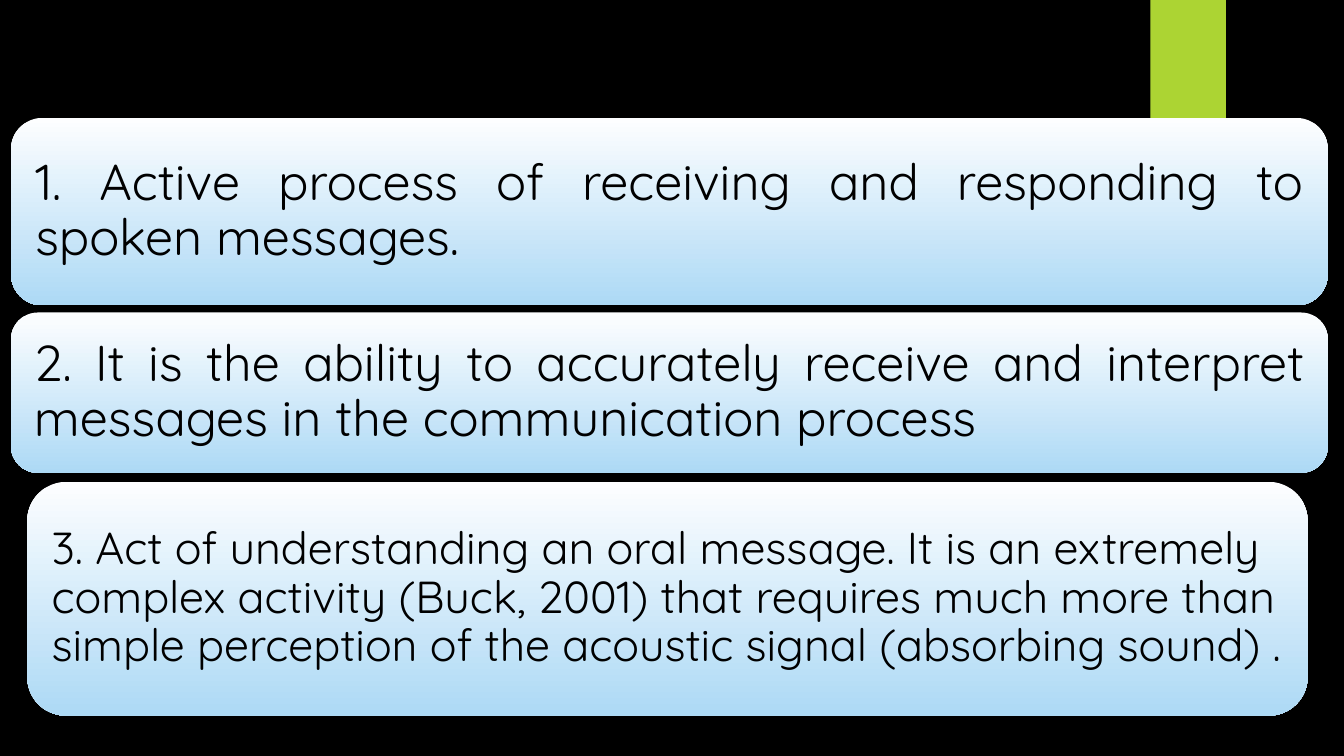
from pptx import Presentation
from pptx.dml.color import RGBColor
from pptx.enum.shapes import MSO_SHAPE
from pptx.enum.text import MSO_ANCHOR, PP_ALIGN
from pptx.util import Inches, Pt

RECTANGLE = MSO_SHAPE.RECTANGLE
ROUNDED_RECTANGLE = MSO_SHAPE.ROUNDED_RECTANGLE
MIDDLE = MSO_ANCHOR.MIDDLE
LEFT = PP_ALIGN.LEFT
JUSTIFY = PP_ALIGN.JUSTIFY

COLORS = {
    "background": "000000",
    "tab": "ACD433",
    "card_top": "FDFEFF",
    "card_bottom": "ADD9F5",
    "text": "000000",
}
FONT = "Quicksand"

DEFINITIONS = [
    (0.11, 1.17, 13.06, 1.86, 0.15, 36, JUSTIFY,
     "1. Active process of receiving and responding to spoken messages."),
    (0.11, 3.1, 13.06, 1.59, 0.15, 36, JUSTIFY,
     "2. It is the ability to accurately receive and interpret messages "
     "in the communication process"),
    (0.27, 4.78, 12.7, 2.32, 0.13, 32, LEFT,
     "3. Act of understanding an oral message. It is an extremely complex "
     "activity (Buck, 2001) that requires much more than simple perception "
     "of the acoustic signal (absorbing sound) ."),
]


def color(name):
    return RGBColor.from_string(COLORS[name])


presentation = Presentation()
presentation.slide_width = Inches(13.33)
presentation.slide_height = Inches(7.5)
slide = presentation.slides.add_slide(presentation.slide_layouts[6])
slide.background.fill.solid()
slide.background.fill.fore_color.rgb = color("background")

tab = slide.shapes.add_shape(
    RECTANGLE, Inches(11.41), Inches(0), Inches(0.75), Inches(1.25))
tab.shadow.inherit = False
tab.fill.solid()
tab.fill.fore_color.rgb = color("tab")
tab.line.fill.background()

for left, top, width, height, margin, size, alignment, text in DEFINITIONS:
    card = slide.shapes.add_shape(
        ROUNDED_RECTANGLE, Inches(left), Inches(top), Inches(width), Inches(height))
    card.shadow.inherit = False
    card.line.fill.background()
    card.fill.gradient()
    card.fill.gradient_angle = 270
    for stop, name in zip(card.fill.gradient_stops, ("card_top", "card_bottom")):
        stop.color.rgb = color(name)
        stop.position = 0 if name == "card_top" else 1

    text_frame = card.text_frame
    text_frame.word_wrap = True
    text_frame.vertical_anchor = MIDDLE
    text_frame.margin_left = text_frame.margin_right = Inches(margin)
    text_frame.margin_top = text_frame.margin_bottom = Inches(margin)

    paragraph = text_frame.paragraphs[0]
    paragraph.text = text
    paragraph.alignment = alignment
    paragraph.line_spacing = 0.9
    paragraph.font.name = FONT
    paragraph.font.size = Pt(size)
    paragraph.font.color.rgb = color("text")

presentation.save("out.pptx")
